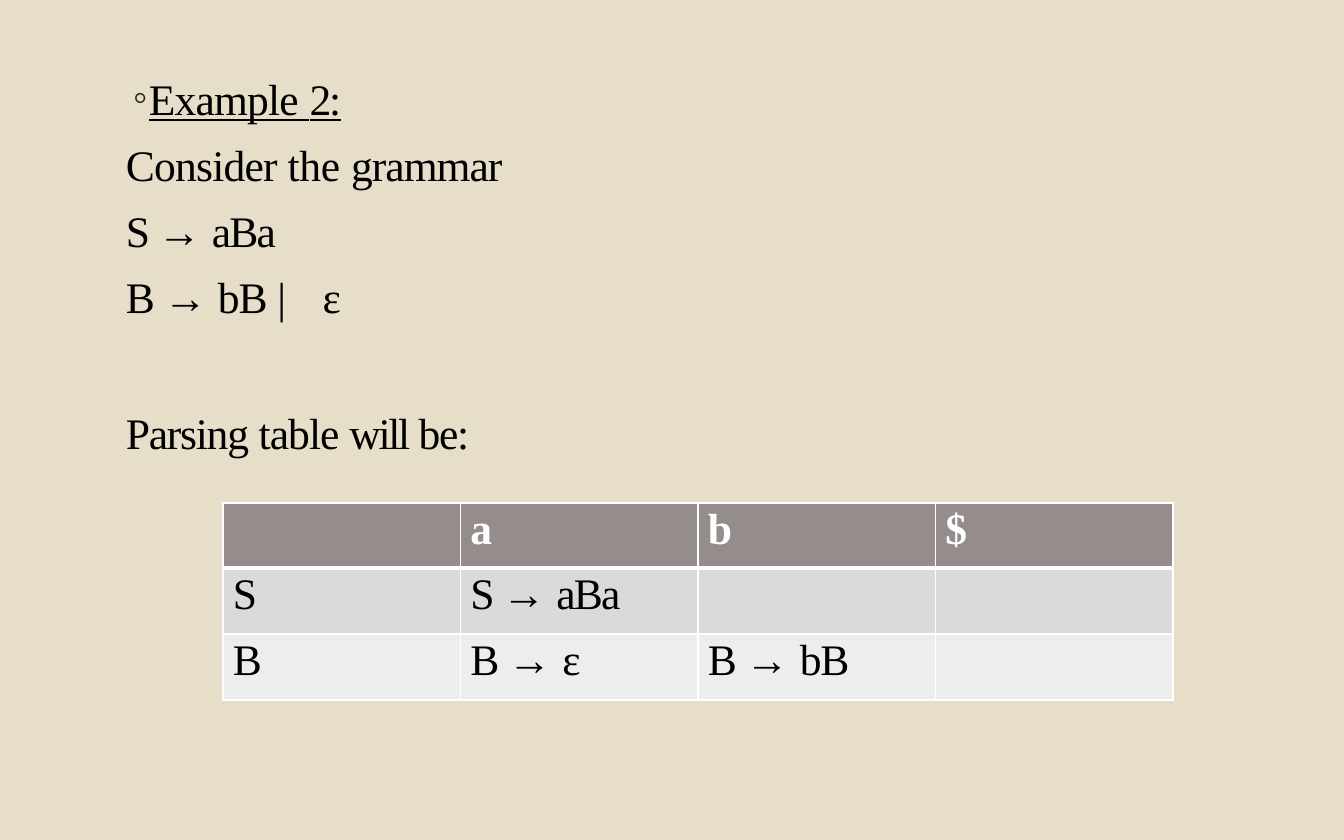
from pptx import Presentation
from pptx.dml.color import RGBColor
from pptx.oxml.ns import qn
from pptx.util import Emu, Pt
from lxml import etree

THEME = {
    "bg": "E7DEC9", "ink": "000000", "light": "FFFFFF", "bullet": "262626",
    "rows": ["958C8C", "DBDADA", "EDEDED"],
    "font": "Times New Roman", "size": 28,
}

# Each text is a list of (words, letter spacing in points).
S_RULE = [("S ", -2.2), ("→ ", 0), ("aBa", -1.2)]
B_RULE = [("B ", -1.5), ("→ ", 0), ("bB", -0.7)]
B_EMPTY = [("B ", -1.5), ("→ ", 0), ("ε", -1.3)]
TITLE = [("Example", -0.5), (" ", -0.1), ("2:", -1.4)]
GRAMMAR = [
    [("Consider ", -0.5), ("the ", -0.1), ("grammar", -0.6)],
    S_RULE,
    B_RULE[:2] + [("bB ", -0.7), ("| ", 8.3), ("ε", -1.3)],
]
CAPTION = [("Parsing ", -0.8), ("table ", -0.6), ("will ", -1.5), ("be:", -0.8)]
PARSING_TABLE = [
    [None, [("a", 0)], [("b", 0)], [("$", 0)]],
    [[("S", 0)], S_RULE, None, None],
    [[("B", 0)], B_EMPTY, B_RULE, None],
]

SLIDE = (1344, 840)
TEXT_BOX = (125, 55, 463, 407)
TABLE = (223, 503, 950, 197)
ROW_HEIGHTS = [65, 66, 66]
LINE_PITCH, CAPTION_GAP = 66, 70


def px(n):
    return Emu(round(n * 914400 / 112))


def rgb(name):
    return RGBColor.from_string(name)


def write(p, runs, color=THEME["ink"], bold=False, underline=False,
          pitch=None, before=0, margin=0, indent=0):
    p.space_before = px(before)
    if pitch:
        p.line_spacing = px(pitch)
    pPr = p._p.get_or_add_pPr()
    pPr.set("marL", str(px(margin)))
    pPr.set("indent", str(px(indent)))
    for words, spacing in runs:
        r = p.add_run()
        r.text = words
        f = r.font
        f.name, f.size = THEME["font"], Pt(THEME["size"])
        f.bold, f.underline = bold, underline
        f.color.rgb = rgb(color)
        r._r.get_or_add_rPr().set("spc", str(round(spacing * 100)))


def add_bullet(p, char):
    pPr = p._p.get_or_add_pPr()
    clr = etree.SubElement(pPr, qn("a:buClr"))
    etree.SubElement(clr, qn("a:srgbClr"), val=THEME["bullet"])
    etree.SubElement(pPr, qn("a:buSzPct"), val="96000")
    etree.SubElement(pPr, qn("a:buFont"), typeface=THEME["font"])
    etree.SubElement(pPr, qn("a:buChar"), char=char)


def set_borders(cell, **widths):
    tcPr = cell._tc.get_or_add_tcPr()
    for side in "LRTB":
        ln = etree.SubElement(tcPr, qn("a:ln" + side),
                              w=str(Pt(widths.get(side, 1))))
        fill = etree.SubElement(ln, qn("a:solidFill"))
        etree.SubElement(fill, qn("a:srgbClr"), val=THEME["light"])


def add_grammar(slide):
    tf = slide.shapes.add_textbox(*map(px, TEXT_BOX)).text_frame
    tf.word_wrap = True
    tf.margin_left = tf.margin_right = tf.margin_bottom = 0
    tf.margin_top = px(3)
    p = tf.paragraphs[0]
    write(p, TITLE, underline=True, pitch=LINE_PITCH, margin=24, indent=-16)
    add_bullet(p, "◦")
    for line in GRAMMAR:
        write(tf.add_paragraph(), line, pitch=LINE_PITCH, margin=1)
    write(tf.add_paragraph(), CAPTION, pitch=LINE_PITCH, before=CAPTION_GAP,
          margin=1)


def add_parsing_table(slide):
    n_rows, n_cols = len(PARSING_TABLE), len(PARSING_TABLE[0])
    table = slide.shapes.add_table(n_rows, n_cols, *map(px, TABLE)).table
    for col in table.columns:
        col.width = px(TABLE[2] / n_cols)
    for i, texts in enumerate(PARSING_TABLE):
        table.rows[i].height = px(ROW_HEIGHTS[i])
        header = i == 0
        for j, runs in enumerate(texts):
            cell = table.cell(i, j)
            cell.margin_left, cell.margin_top = px(10), px(3)
            cell.margin_right = cell.margin_bottom = 0
            set_borders(cell, T=3 if i == 1 else 1, B=3 if header else 1)
            cell.fill.solid()
            cell.fill.fore_color.rgb = rgb(THEME["rows"][i])
            if runs:
                write(cell.text_frame.paragraphs[0], runs, bold=header,
                      color=THEME["light" if header else "ink"])


def main():
    prs = Presentation()
    prs.slide_width, prs.slide_height = map(px, SLIDE)
    slide = prs.slides.add_slide(prs.slide_layouts[6])
    slide.background.fill.solid()
    slide.background.fill.fore_color.rgb = rgb(THEME["bg"])
    add_grammar(slide)
    add_parsing_table(slide)
    prs.save("out.pptx")


if __name__ == "__main__":
    main()
